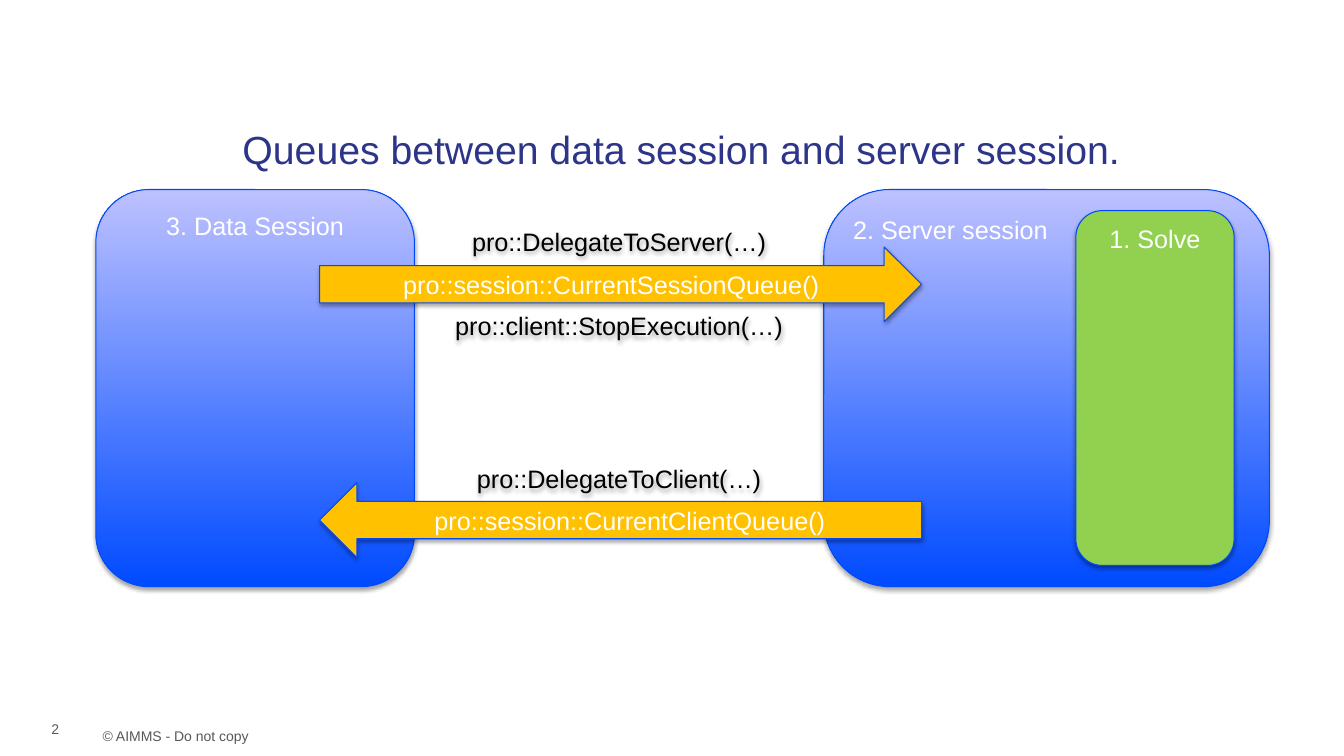
from lxml import etree
from pptx import Presentation
from pptx.dml.color import RGBColor
from pptx.enum.shapes import MSO_SHAPE
from pptx.enum.text import MSO_ANCHOR, PP_ALIGN
from pptx.oxml.ns import qn
from pptx.util import Inches, Pt

ROUND = MSO_SHAPE.ROUNDED_RECTANGLE
RIGHT = MSO_SHAPE.RIGHT_ARROW
LEFT = MSO_SHAPE.LEFT_ARROW
TOP, MIDDLE, BOTTOM = MSO_ANCHOR.TOP, MSO_ANCHOR.MIDDLE, MSO_ANCHOR.BOTTOM
START, CENTER = PP_ALIGN.LEFT, PP_ALIGN.CENTER

FONT = "Arial"
COLORS = {
    "title": "2D3589",
    "small": "585858",
    "deep": "004BFF",
    "pale": "BDC1FF",
    "edge": "0049F9",
    "solve": "92D050",
    "queue": "FFC100",
    "white": "FFFFFF",
    "black": "000000",
}


def color(name):
    return RGBColor.from_string(COLORS[name])


def part(box, x, y, w, h):
    left, top, width, height = box
    return (
        int(left + width * x / 100),
        int(top + height * y / 100),
        int(width * w / 100),
        int(height * h / 100),
    )


def write(shape, text, size, tint, align, anchor, wrap=True):
    frame = shape.text_frame
    frame.word_wrap = wrap
    frame.vertical_anchor = anchor
    line = frame.paragraphs[0]
    line.alignment = align
    run = line.add_run()
    run.text = text
    run.font.name = FONT
    run.font.size = Pt(size)
    run.font.color.rgb = color(tint)


def shade(shape):
    shape.shadow.inherit = False
    effects = shape._element.spPr.find(qn("a:effectLst"))
    outer = etree.SubElement(
        effects, qn("a:outerShdw"), blurRad=str(Pt(3.1)), dist=str(Pt(1.8)),
        dir="5400000", rotWithShape="0")
    tint = etree.SubElement(outer, qn("a:srgbClr"), val=COLORS["black"])
    etree.SubElement(tint, qn("a:alpha"), val="35000")


def add_text(slide, box, text, size, tint, align=START, anchor=TOP, wrap=True):
    shape = slide.shapes.add_textbox(*box)
    write(shape, text, size, tint, align, anchor, wrap)
    return shape


def add_block(slide, kind, box, text, fill, align=CENTER, anchor=TOP):
    shape = slide.shapes.add_shape(kind, *box)
    if fill == "blend":
        shape.fill.gradient()
        shape.fill.gradient_angle = 90
        for stop, name in zip(shape.fill.gradient_stops, ("deep", "pale")):
            stop.color.rgb = color(name)
    else:
        shape.fill.solid()
        shape.fill.fore_color.rgb = color(fill)
    shape.line.color.rgb = color("edge")
    shape.line.width = Pt(0.75)
    shade(shape)
    write(shape, text, 18, "white", align, anchor)


def add_server(slide, box):
    add_block(slide, ROUND, box, "2. Server session", "blend", START)
    add_block(slide, ROUND, part(box, 56.56, 5.33, 35.52, 89.34),
              "1. Solve", "solve")


def add_queues(slide, box):
    arrows = (
        (LEFT, 73.86, "pro::session::CurrentClientQueue()"),
        (RIGHT, 14.47, "pro::session::CurrentSessionQueue()"),
    )
    for kind, y, text in arrows:
        add_block(slide, kind, part(box, 19.07, y, 51.29, 18.78),
                  text, "queue", anchor=MIDDLE)
    calls = (
        (4.31, "pro::DelegateToServer(…)"),
        (25.63, "pro::client::StopExecution(…)"),
        (64.21, "pro::DelegateToClient(…)"),
    )
    for y, text in calls:
        shade(add_text(slide, part(box, 27.15, y, 34.88, 17.26),
                       text, 18, "black", CENTER, MIDDLE))


def add_diagram(slide, box):
    add_block(slide, ROUND, part(box, 0, 0, 27.15, 100),
              "3. Data Session", "blend")
    add_server(slide, part(box, 62.03, 0, 37.97, 100))
    add_queues(slide, box)


def add_footer(slide, box):
    add_text(slide, part(box, 6.9, 95.6, 12.53, 3.6),
             "© AIMMS - Do not copy", 10, "small", wrap=False)
    add_text(slide, part(box, 3.08, 92.8, 3.83, 5.33),
             "2", 10, "small", anchor=BOTTOM)


def main():
    deck = Presentation()
    deck.slide_width = Inches(13.33)
    deck.slide_height = Inches(7.5)
    slide = deck.slides.add_slide(deck.slide_layouts[6])
    page = (0, 0, deck.slide_width, deck.slide_height)
    add_footer(slide, page)
    add_text(slide, part(page, 6.9, 15.87, 87.55, 6.53),
             "Queues between data session and server session.",
             28, "title", CENTER)
    add_diagram(slide, part(page, 7.13, 25.07, 87.32, 52.53))
    deck.save("out.pptx")


if __name__ == "__main__":
    main()
